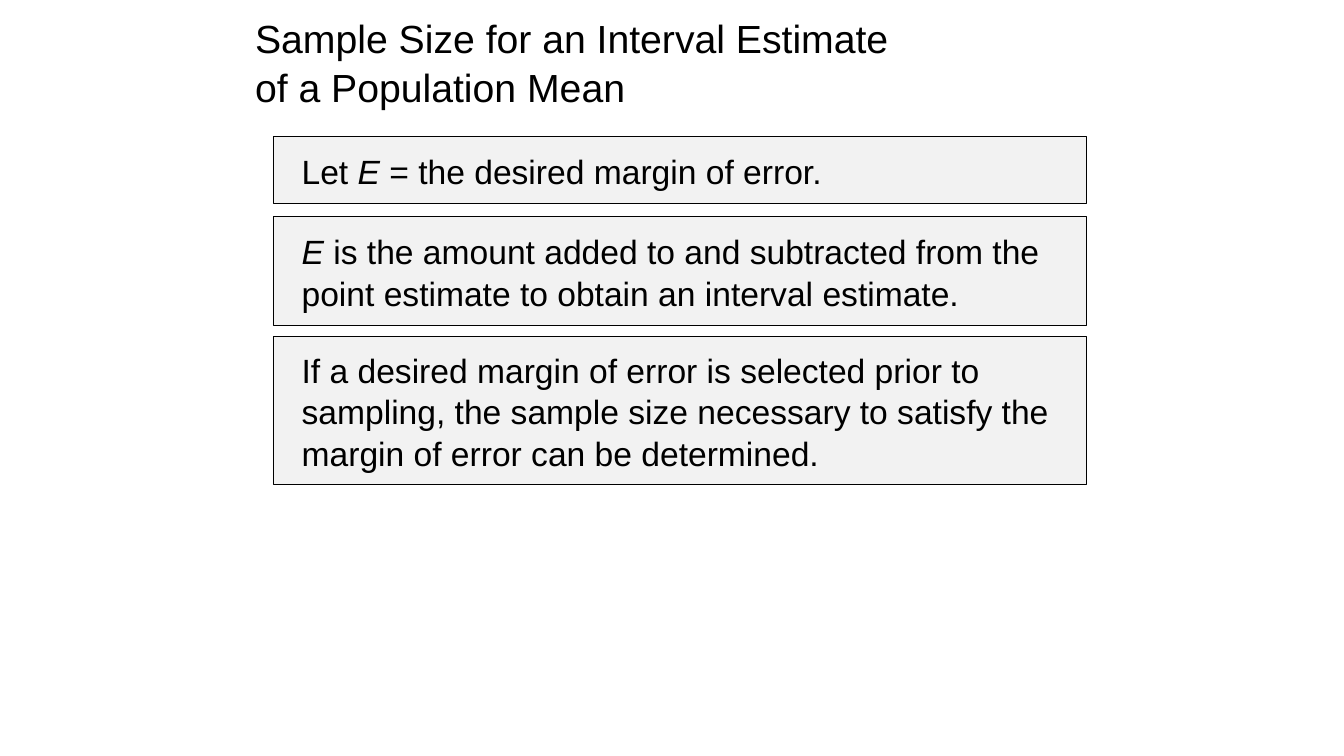
from pptx import Presentation
from pptx.dml.color import RGBColor
from pptx.enum.shapes import MSO_SHAPE
from pptx.enum.text import MSO_ANCHOR, MSO_AUTO_SIZE, PP_ALIGN
from pptx.util import Pt

RECTANGLE = MSO_SHAPE.RECTANGLE
MIDDLE = MSO_ANCHOR.MIDDLE
NO_FIT = MSO_AUTO_SIZE.NONE
LEFT = PP_ALIGN.LEFT

BLACK = "000000"
PALE_GREY = "F2F2F2"
LINE_SPACING = 1.04
CARD_LEFT, CARD_WIDTH = 195, 581

CARDS = [
    (97.2, 48.2, [
        [("Let ", False), ("E", True), (" = the desired margin of error.", False)],
    ]),
    (154.8, 77.8, [
        [("E", True), (" is the amount added to and subtracted from the", False)],
        [("point estimate to obtain an interval estimate.", False)],
    ]),
    (240.5, 105.8, [
        [("If a desired margin of error is selected prior to", False)],
        [("sampling, the sample size necessary to satisfy the", False)],
        [("margin of error can be determined.", False)],
    ]),
]


def colour(value):
    return RGBColor.from_string(value)


def set_format(target, values):
    for name, value in values.items():
        setattr(target, name, value)


def format_font(font, size, italic=False):
    set_format(font, {"name": "Arial", "size": Pt(size), "bold": False, "italic": italic})
    font.color.rgb = colour(BLACK)


def format_frame(frame, left_inset):
    set_format(frame, {
        "word_wrap": True, "auto_size": NO_FIT, "vertical_anchor": MIDDLE,
        "margin_left": Pt(left_inset), "margin_right": Pt(7.2),
        "margin_top": Pt(3.6), "margin_bottom": Pt(3.6),
    })


def format_paragraph(para):
    set_format(para, {"alignment": LEFT, "line_spacing": LINE_SPACING})


def add_title(page, text):
    title = page.shapes.title
    set_format(title, {"left": Pt(175), "top": Pt(14.4), "width": Pt(612), "height": Pt(58.3)})
    format_frame(title.text_frame, 7.2)
    para = title.text_frame.paragraphs[0]
    para.text = text
    format_paragraph(para)
    for span in para.runs:
        format_font(span.font, 28)


def add_card(page, top, height, lines):
    box = page.shapes.add_shape(RECTANGLE, Pt(CARD_LEFT), Pt(top), Pt(CARD_WIDTH), Pt(height))
    box.shadow.inherit = False
    box.fill.solid()
    box.fill.fore_color.rgb = colour(PALE_GREY)
    box.line.color.rgb = colour(BLACK)
    box.line.width = Pt(0.5)
    frame = box.text_frame
    format_frame(frame, 20.5)
    for index, line in enumerate(lines):
        para = frame.add_paragraph() if index else frame.paragraphs[0]
        format_paragraph(para)
        for text, italic in line:
            span = para.add_run()
            span.text = text
            format_font(span.font, 24, italic)


def main():
    deck = Presentation()
    set_format(deck, {"slide_width": Pt(960), "slide_height": Pt(540)})
    page = deck.slides.add_slide(deck.slide_layouts.get_by_name("Title Only"))
    add_title(page, "Sample Size for an Interval Estimate\vof a Population Mean")
    for top, height, lines in CARDS:
        add_card(page, top, height, lines)
    deck.save("out.pptx")


if __name__ == "__main__":
    main()
